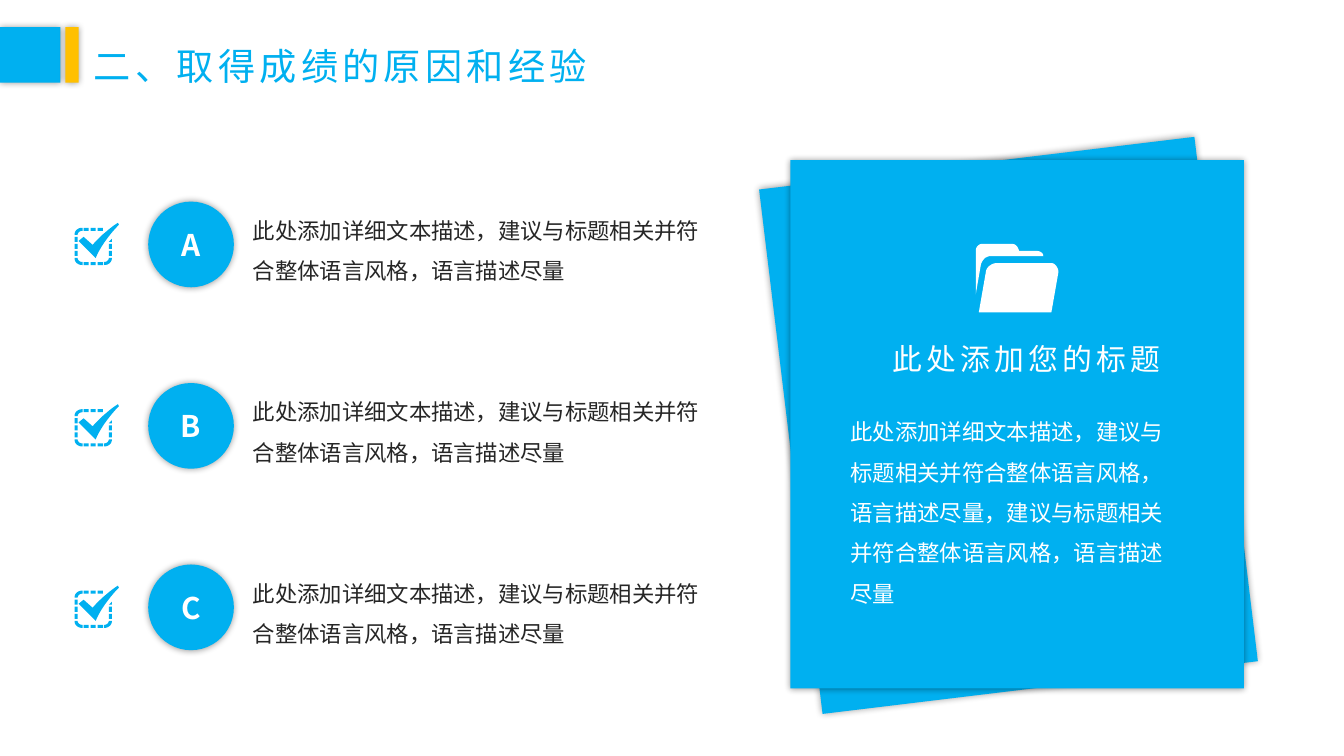
from lxml import etree
from pptx import Presentation
from pptx.dml.color import RGBColor
from pptx.enum.shapes import MSO_SHAPE
from pptx.enum.text import MSO_ANCHOR, MSO_AUTO_SIZE, PP_ALIGN
from pptx.oxml.ns import qn
from pptx.util import Emu, Inches, Pt

RECTANGLE, OVAL = MSO_SHAPE.RECTANGLE, MSO_SHAPE.OVAL
LEFT, CENTER = PP_ALIGN.LEFT, PP_ALIGN.CENTER
TOP, MIDDLE = MSO_ANCHOR.TOP, MSO_ANCHOR.MIDDLE
GROW, FIXED = MSO_AUTO_SIZE.SHAPE_TO_FIT_TEXT, MSO_AUTO_SIZE.NONE

COLORS = {"blue": "00B0F0", "amber": "FFC000", "white": "FFFFFF",
          "ink": "262626", "shadow": "000000"}
FONT = "Noto Sans CJK SC"
CELL = Inches(0.1)
COLUMNS, ROWS = 133.33, 75
UNITS_PER_CELL = 100
CURVE_STEPS = 8

DETAIL = "此处添加详细文本描述，建议与标题相关并符合整体语言风格，语言描述尽量"
PANEL_DETAIL = DETAIL + "，建议与标题相关并符合整体语言风格，语言描述尽量"

FOLDER = [
    [(0.6, 0), (3.6, 0), ((4, 0), (4.2, 0.3), (4.3, 0.7)), (6.1, 0.7),
     ((6.4, 0.7), (6.7, 0.9), (6.7, 1.2)), (1.5, 1.2),
     ((1, 1.2), (0.6, 1.6), (0.5, 2.1)), (0, 5), (0, 0.7),
     ((0, 0.3), (0.3, 0), (0.6, 0))],
    [(2.1, 1.9), ((1.5, 1.9), (1, 2.4), (1, 2.8)), (0.3, 6.8), (7.5, 6.8),
     (8.2, 2.8), ((8.2, 2.4), (7.9, 1.9), (7.5, 1.9))],
]
TICK = [[(3.9, 0), ((2.7, 0.8), (1.8, 1.7), (1.4, 2.2)), (0.5, 1.4),
         (0, 1.8), (1.7, 3.5), ((2, 2.7), (2.9, 1.3), (4, 0.2))]]


def cells(count):
    return Emu(round(count * CELL))


def color(name):
    return RGBColor.from_string(COLORS[name])


def write(shape, text, size=16, fill="ink", bold=False, align=LEFT, anchor=TOP,
          wrap=True, fit=GROW, line_spacing=None, tracking=0):
    frame = shape.text_frame
    frame.word_wrap = wrap
    frame.auto_size = fit
    frame.vertical_anchor = anchor
    para = frame.paragraphs[0]
    para.alignment = align
    if line_spacing:
        para.line_spacing = line_spacing
    span = para.add_run()
    span.text = text
    span.font.size = Pt(size)
    span.font.bold = bold
    span.font.color.rgb = color(fill)
    span.font.name = FONT
    properties = span.font._element
    etree.SubElement(properties, qn("a:ea"), typeface=FONT)
    if tracking:
        properties.set("spc", str(tracking * 100))


def add_text(page, box, text, **options):
    write(page.shapes.add_textbox(*map(cells, box)), text, **options)


def paint(shape, fill):
    shape.fill.solid()
    shape.fill.fore_color.rgb = color(fill)
    shape.line.fill.background()
    shape.shadow.inherit = False


def add_block(page, kind, box, fill, rotation=0):
    shape = page.shapes.add_shape(kind, *map(cells, box))
    paint(shape, fill)
    shape.rotation = rotation
    effects = shape._element.spPr.find(qn("a:effectLst"))
    glow = etree.SubElement(effects, qn("a:outerShdw"), blurRad=str(Pt(5)),
                            dist="0", algn="ctr", rotWithShape="0")
    tint = etree.SubElement(glow, qn("a:srgbClr"), val=COLORS["shadow"])
    etree.SubElement(tint, qn("a:alpha"), val="40000")
    return shape


def flatten(outline):
    points = [outline[0]]
    for step in outline[1:]:
        if len(step) == 2:
            points.append(step)
            continue
        controls = (points[-1], *step)
        for index in range(1, CURVE_STEPS + 1):
            t = index / CURVE_STEPS
            weights = ((1 - t) ** 3, 3 * t * (1 - t) ** 2, 3 * t * t * (1 - t), t ** 3)
            points.append(tuple(sum(w * point[axis] for w, point in zip(weights, controls))
                                for axis in (0, 1)))
    return [(round(x * UNITS_PER_CELL), round(y * UNITS_PER_CELL)) for x, y in points]


def add_icon(page, left, top, outlines, fill):
    paths = [flatten(outline) for outline in outlines]
    builder = page.shapes.build_freeform(*paths[0][0], scale=CELL / UNITS_PER_CELL)
    for index, path in enumerate(paths):
        if index:
            builder.move_to(*path[0])
        builder.add_line_segments(path[1:], close=True)
    paint(builder.convert_to_shape(cells(left), cells(top)), fill)


def dashed_frame(side=3.7, thick=0.3, radius=0.7, dash=0.5):
    def bar(x, y, width, height):
        return [(x, y), (x + width, y), (x + width, y + height), (x, y + height)]

    far = side - thick
    inner = radius + 0.1
    corner = [(0, radius), (thick, radius),
              ((thick, 0.5), (0.5, thick), (inner, thick)), (inner, 0),
              ((0.3, 0), (0, 0.3), (0, radius))]

    def mirror(step, flip_x, flip_y):
        if isinstance(step[0], tuple):
            return tuple(mirror(point, flip_x, flip_y) for point in step)
        x, y = step
        return (side - x if flip_x else x, side - y if flip_y else y)

    outlines = [[mirror(step, *flips) for step in corner]
                for flips in ((False, False), (False, True), (True, True))]
    for index in range(3):
        start = 0.9 + 0.7 * index
        outlines += [bar(start, 0, dash, thick), bar(start, far, dash, thick),
                     bar(0, start, thick, dash)]
        if index:
            outlines.append(bar(far, start, thick, dash))
    outlines.append([(side, 1.1), (far, 1.4), (side, 1.4)])
    return outlines


def add_header(page, box, text):
    left, top, width, height = box
    title = page.shapes.title
    title.left, title.top = cells(left + 8.3), cells(top - 0.8)
    title.width, title.height = cells(width - 8.3), cells(6.9)
    write(title, text, size=26.6, fill="blue", anchor=MIDDLE, wrap=False,
          line_spacing=1.5, tracking=3)
    add_block(page, RECTANGLE, (left, top, 6, height), "blue")
    add_block(page, RECTANGLE, (left + 6.5, top, 1.3, height), "amber")


def add_point(page, box, letter):
    left, top, width, height = box
    add_icon(page, left, top + 2.6, dashed_frame(), "blue")
    add_icon(page, left + 0.4, top + 2.1, TICK, "blue")
    badge = add_block(page, OVAL, (left + 7.3, top, height, height), "blue")
    write(badge, letter, size=21.3, fill="white", bold=True, align=CENTER,
          anchor=MIDDLE, fit=FIXED)
    add_text(page, (left + 16.7, top - 0.3, width - 16.7, height), DETAIL,
             line_spacing=1.5)


def add_panel(page, box):
    left, top, width, height = box
    add_block(page, RECTANGLE, (left - 0.1, top + 0.1, width - 1.5, height),
              "blue", rotation=353.1)
    add_block(page, RECTANGLE, box, "blue")
    add_icon(page, left + 18.4, top + 8.3, FOLDER, "white")
    add_text(page, (left + 9.2, top + 17.4, 29.4, 4.6), "此处添加您的标题",
             size=21.3, fill="white", wrap=False, tracking=3)
    add_text(page, (left + 5, top + 23.8, width - 10, 21.2), PANEL_DETAIL,
             fill="white", line_spacing=1.5)


def main():
    deck = Presentation()
    deck.slide_width, deck.slide_height = cells(COLUMNS), cells(ROWS)
    page = deck.slides.add_slide(deck.slide_layouts[5])
    add_header(page, (0, 2.7, 60, 5.5), "二、取得成绩的原因和经验")
    add_panel(page, (78.4, 15.9, 45, 52.4))
    for row, letter in enumerate("ABC"):
        add_point(page, (7.4, 20 + 18 * row, 65.2, 8.5), letter)
    deck.save("out.pptx")


if __name__ == "__main__":
    main()
